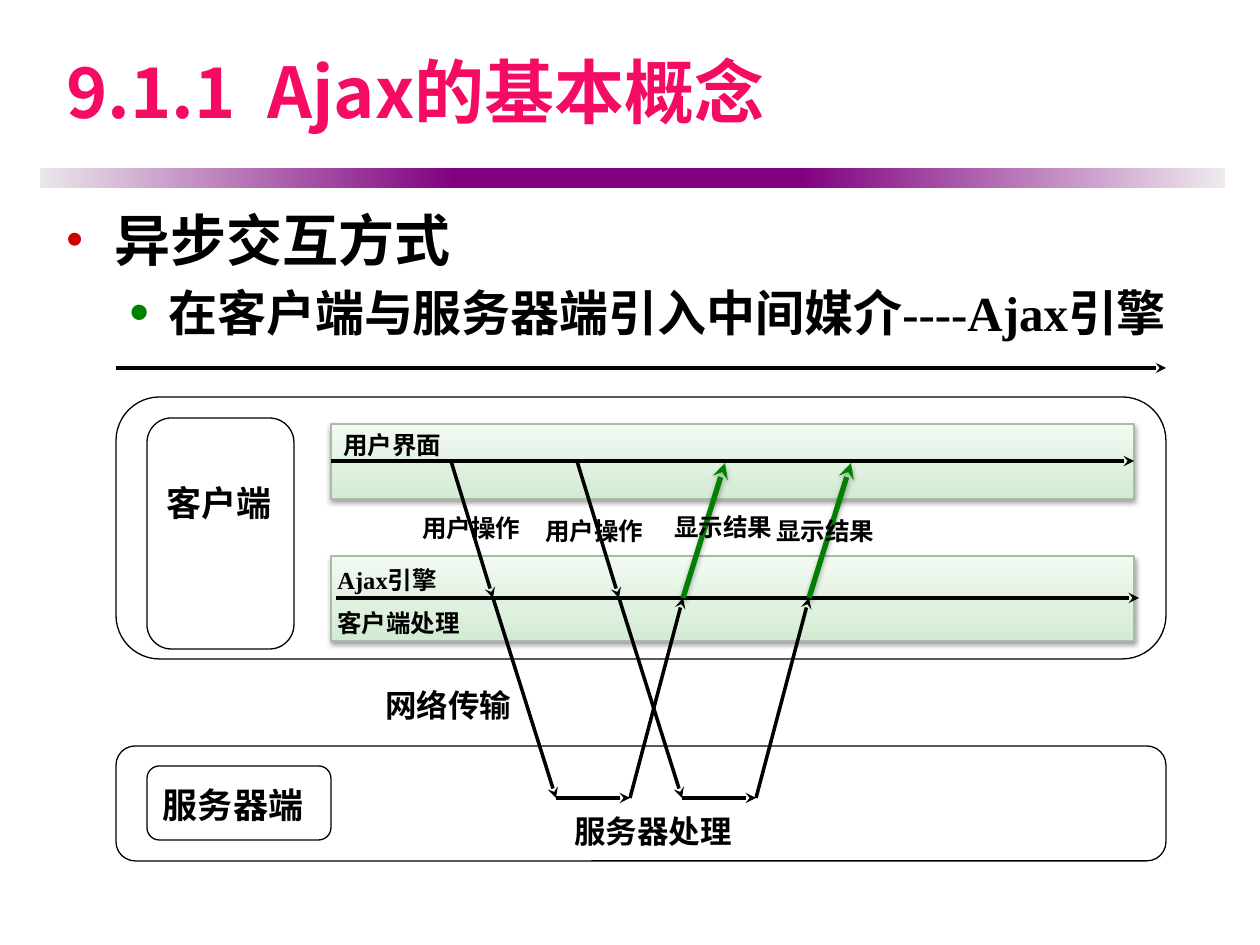
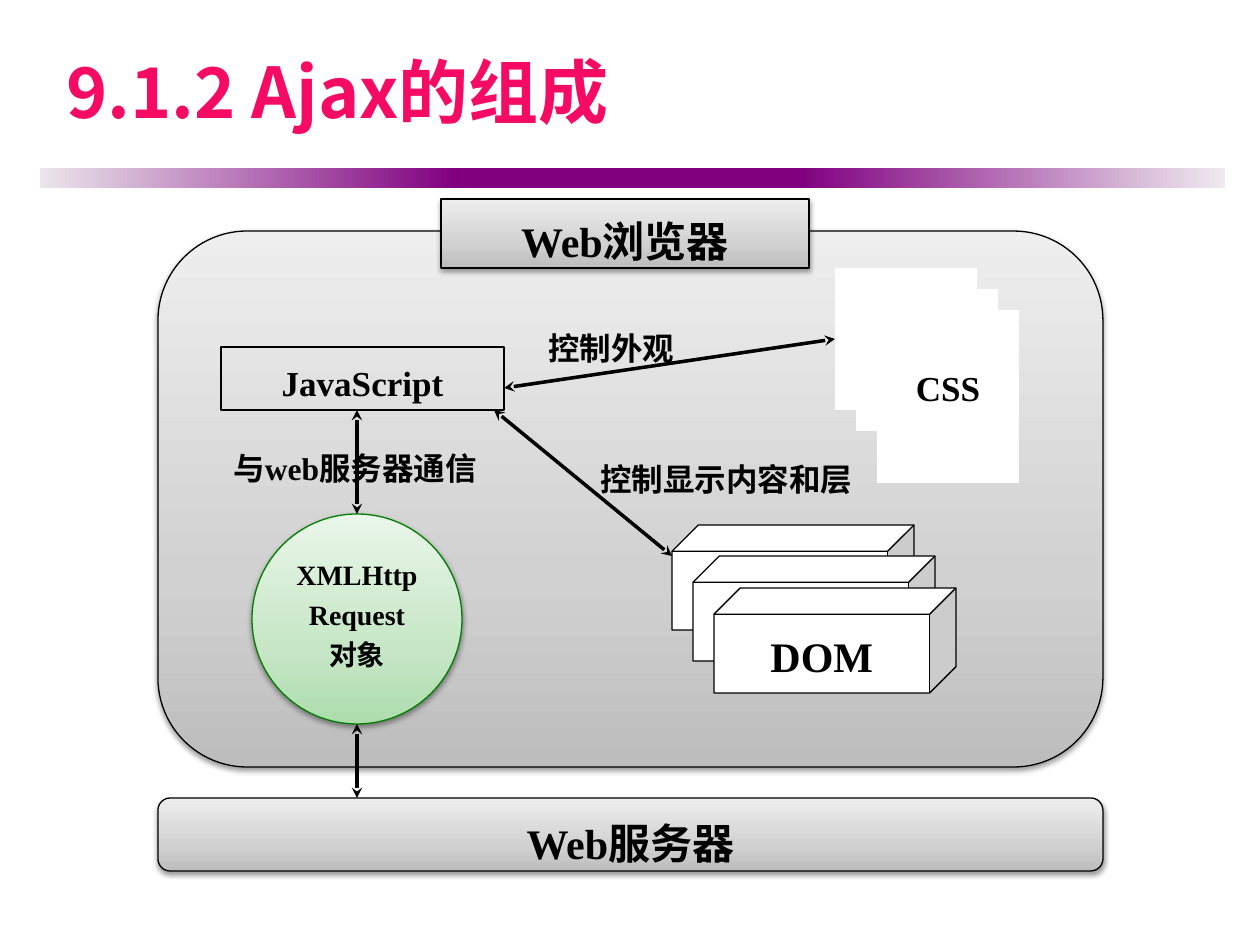
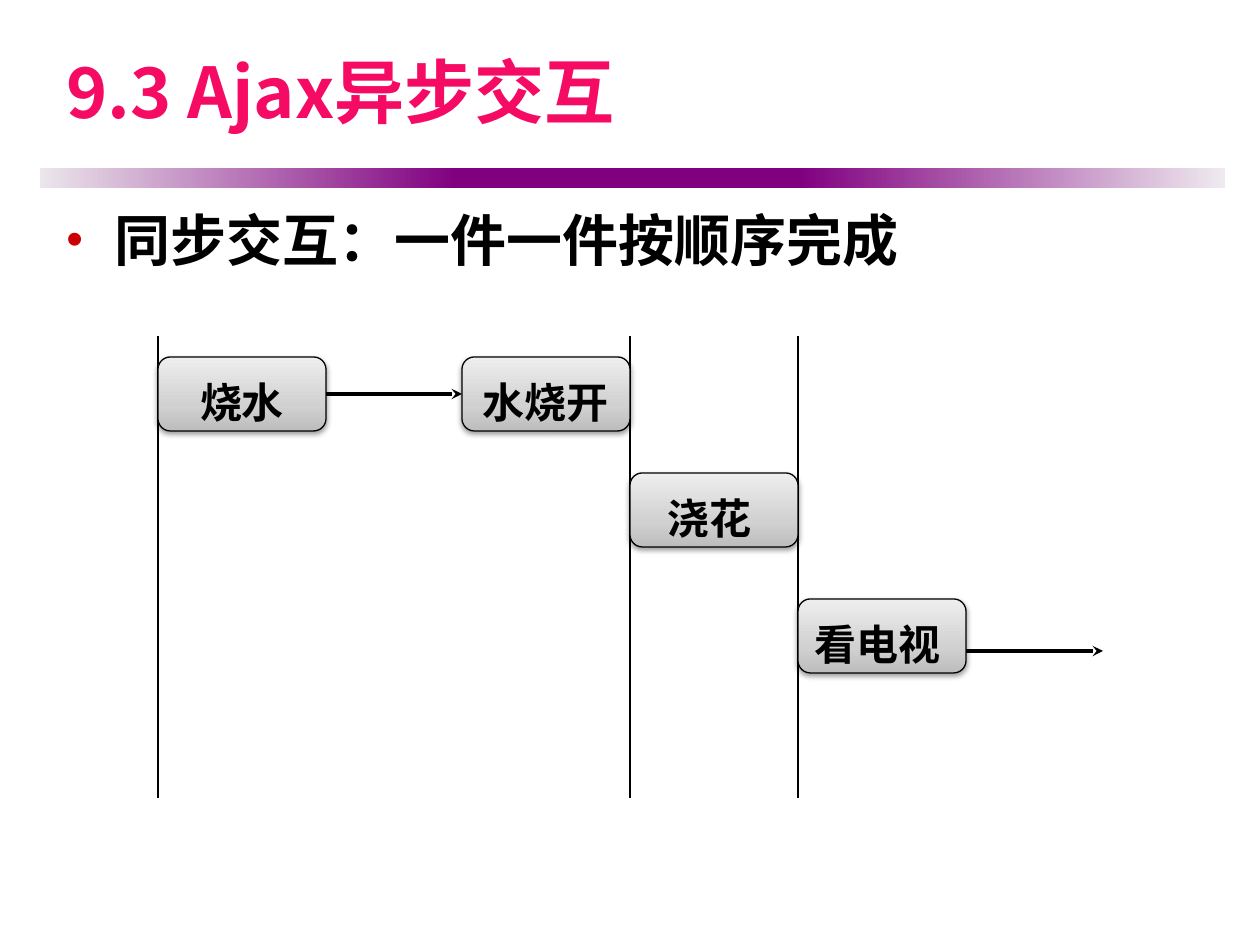
import pptx
import pptx.util
import pptx.dml.color
import pptx.enum.shapes
import pptx.enum.text
import pptx.oxml.ns
from lxml import etree

RGB = pptx.dml.color.RGBColor
KIND = pptx.enum.shapes.MSO_SHAPE
ALIGN = pptx.enum.text.PP_ALIGN
ANCHOR = pptx.enum.text.MSO_ANCHOR
qn = pptx.oxml.ns.qn

BLACK = RGB(0x00, 0x00, 0x00)
WHITE = RGB(0xFF, 0xFF, 0xFF)
PINK = RGB(0xF5, 0x0A, 0x64)
RED = RGB(0xCC, 0x00, 0x00)
GREEN = RGB(0x00, 0x80, 0x00)
PURPLE = RGB(0x80, 0x00, 0x80)
MOSS = RGB(0xA6, 0xBC, 0xA6)
LEAF = RGB(0x00, 0x7D, 0x00)
# Gradients run from the first stop to the last
FADE_IN = [(0, RGB(0xEB, 0xE6, 0xEB)), (100, PURPLE)]
FADE_OUT = [(0, PURPLE), (100, RGB(0xEF, 0xEA, 0xEF))]
GREY = [(0, RGB(0xBD, 0xBD, 0xBD)), (35, RGB(0xD1, 0xD1, 0xD1)), (100, RGB(0xEE, 0xEE, 0xEE))]
MINT = [(0, RGB(0xD2, 0xEB, 0xD2)), (35, RGB(0xDE, 0xF0, 0xDE)), (100, RGB(0xF2, 0xFA, 0xF2))]
LIME = [(0, RGB(0xAD, 0xDD, 0xAD)), (35, RGB(0xC6, 0xE6, 0xC6)), (100, RGB(0xE9, 0xF6, 0xE9))]

SERIF = "Times New Roman"
SANS = "Noto Sans CJK SC"
DPI = 126


def px(n):
    return pptx.util.Emu(round(n * 914400 / DPI))


def sub(node, tag, **attrs):
    return etree.SubElement(node, qn(tag), {k: str(v) for k, v in attrs.items()})


class Deck:
    """Holds the shared style and the slide being drawn."""

    def __init__(self):
        self.prs = pptx.Presentation()
        self.prs.slide_width, self.prs.slide_height = px(1260), px(945)
        self.slide = None

    def page(self, title):
        self.slide = self.prs.slides.add_slide(self.prs.slide_layouts[5])
        head = self.slide.shapes.title
        head.left, head.top, head.width, head.height = map(px, (54, 21, 1142, 140))
        frame = head.text_frame
        frame.auto_size = pptx.enum.text.MSO_AUTO_SIZE.NONE
        frame.vertical_anchor = ANCHOR.MIDDLE
        frame.paragraphs[0].alignment = ALIGN.LEFT
        self.run(frame.paragraphs[0], title, 40, PINK, SANS)
        self.shape(KIND.RECTANGLE, (40, 168, 417, 20), FADE_IN, None, angle=0)
        self.shape(KIND.RECTANGLE, (456, 168, 342, 20), PURPLE, None)
        self.shape(KIND.RECTANGLE, (798, 168, 427, 20), FADE_OUT, None, angle=0)

    def run(self, para, text, size, color=BLACK, font=SERIF):
        run = para.add_run()
        run.text = text
        run.font.size = pptx.util.Pt(size)
        run.font.bold = True
        run.font.name = font
        run.font.color.rgb = color
        sub(run._r.get_or_add_rPr(), "a:ea", typeface=SANS)

    def text(self, shape, text, size, align, top=6):
        frame = shape.text_frame
        frame.word_wrap = True
        frame.vertical_anchor = ANCHOR.TOP
        frame.margin_top = px(top)
        para = frame.paragraphs[0]
        para.alignment = align
        para.line_spacing = 1.2
        self.run(para, text, size)

    def shade(self, effects, alpha, dist):
        outer = sub(effects, "a:outerShdw", blurRad=40000, dist=dist, dir=5400000, rotWithShape=0)
        sub(sub(outer, "a:srgbClr", val=BLACK), "a:alpha", val=alpha * 1000)

    def shape(self, kind, box, fill=None, line=BLACK, text="", size=24,
              align=ALIGN.CENTER, top=6, shadow=False, angle=90):
        """Fill is None, one colour, or a list of gradient stops."""
        item = self.slide.shapes.add_shape(kind, *map(px, box))
        item.shadow.inherit = False
        props = item._element.spPr
        if fill is None:
            item.fill.background()
        elif isinstance(fill, list):
            item.fill.gradient()
            item.fill.gradient_angle = angle
            stops = props.find(".//" + qn("a:gsLst"))
            for old in list(stops):
                stops.remove(old)
            for pos, color in fill:
                sub(sub(stops, "a:gs", pos=pos * 1000), "a:srgbClr", val=color)
        else:
            item.fill.solid()
            item.fill.fore_color.rgb = fill
        if line is None:
            item.line.fill.background()
        else:
            item.line.color.rgb = line
            item.line.width = pptx.util.Pt(0.75)
        if shadow:
            self.shade(props.find(qn("a:effectLst")), 38, 20000)
        if text:
            self.text(item, text, size, align, top)

    def label(self, box, text, size):
        item = self.slide.shapes.add_textbox(*map(px, box))
        self.text(item, text, size, ALIGN.LEFT)

    def list(self, box, rows):
        """Each row is a level, 0 or 1, and its text."""
        levels = [(32, 48, 48, RED, 85), (28, 102, 39, GREEN, 115)]
        frame = self.slide.shapes.add_textbox(*map(px, box)).text_frame
        frame.word_wrap = True
        for i, (level, text) in enumerate(rows):
            size, left, hang, color, scale = levels[level]
            para = frame.add_paragraph() if i else frame.paragraphs[0]
            para.level = level
            para.space_before = pptx.util.Pt(size * 0.2)
            props = para._p.get_or_add_pPr()
            props.set("marL", str(px(left)))
            props.set("indent", str(px(-hang)))
            sub(sub(props, "a:buClr"), "a:srgbClr", val=color)
            sub(props, "a:buSzPct", val=scale * 1000)
            sub(props, "a:buFont", typeface="Arial")
            sub(props, "a:buChar", char="•")
            self.run(para, text, size)

    def line(self, start, end, color=BLACK, width=2, ends=("tail",), shadow=False):
        item = self.slide.shapes.add_connector(
            pptx.enum.shapes.MSO_CONNECTOR.STRAIGHT, *map(px, start + end))
        item.line.color.rgb = color
        item.line.width = pptx.util.Pt(width)
        props = item._element.spPr
        for side in ends:
            sub(props.find(qn("a:ln")), f"a:{side}End", type="stealth")
        effects = sub(props, "a:effectLst")
        if shadow:
            self.shade(effects, 35, 23000)


def concept(deck):
    deck.page("9.1.1  Ajax的基本概念")
    deck.list((54, 199, 1160, 158), [(0, "异步交互方式"), (1, "在客户端与服务器端引入中间媒介----Ajax引擎")])
    for top, height in ((424, 75), (556, 85)):
        deck.shape(KIND.RECTANGLE, (331, top, 803, height), MINT, MOSS, shadow=True)
    deck.shape(KIND.ROUNDED_RECTANGLE, (116, 397, 1050, 262))
    deck.shape(KIND.ROUNDED_RECTANGLE, (116, 746, 1050, 115))
    deck.shape(KIND.ROUNDED_RECTANGLE, (147, 418, 147, 231), text="客户端", size=20,
               align=ALIGN.LEFT, top=48)
    deck.shape(KIND.ROUNDED_RECTANGLE, (147, 766, 184, 74), text="服务器端", size=20,
               align=ALIGN.LEFT)
    for left, right, y in ((116, 1166, 368), (331, 1134, 461), (336, 1139, 598)):
        deck.line((left, y), (right, y))

    # Each request goes down to the server and its answer comes back up
    stops = [(451, 461), (493, 598), (556, 798), (630, 798), (683, 598), (725, 463)]
    for shift in (0, 126):
        trip = [(x + shift, y) for x, y in stops]
        for start, end in zip(trip[:-2], trip[1:-1]):
            deck.line(start, end)
        deck.line(trip[-2], trip[-1], GREEN, 3, shadow=True)

    for left, top, width, text, size in (
            (331, 418, 162, "用户界面", 14),
            (325, 553, 162, "Ajax引擎", 14),
            (325, 596, 162, "客户端处理", 14),
            (410, 501, 158, "用户操作", 14),
            (533, 504, 128, "用户操作", 14),
            (662, 500, 128, "显示结果", 14),
            (764, 504, 128, "显示结果", 14),
            (373, 672, 162, "网络传输", 18),
            (562, 798, 215, "服务器处理", 18)):
        deck.label((left, top, width, 3 * size + 4), text, size)


def parts(deck):
    deck.page("9.1.2 Ajax的组成")
    deck.shape(KIND.ROUNDED_RECTANGLE, (158, 798, 945, 73), GREY, text="Web服务器", shadow=True)
    deck.shape(KIND.ROUNDED_RECTANGLE, (158, 231, 945, 536), GREY, shadow=True)
    deck.shape(KIND.RECTANGLE, (441, 199, 368, 69), GREY, text="Web浏览器", shadow=True)
    deck.shape(KIND.RECTANGLE, (221, 347, 283, 63), text="JavaScript", size=20)
    deck.shape(KIND.OVAL, (252, 514, 210, 210), LIME, LEAF, "XMLHttpRequest对象", 16, shadow=True)
    for i, text in enumerate(("", "", "DOM")):
        deck.shape(KIND.CUBE, (672 + 21 * i, 525 + 63 * i // 2, 242, 105), WHITE, text=text)
    for i, (height, text) in enumerate(((142, ""), (142, ""), (173, "CSS"))):
        deck.shape(KIND.RECTANGLE, (835 + 21 * i, 268 + 21 * i, 142, height), WHITE, None,
                   text, 20, top=48)
    for start, end in (((357, 410), (357, 514)), ((494, 410), (672, 556)),
                       ((504, 388), (835, 339)), ((357, 724), (357, 798))):
        deck.line(start, end, ends=("head", "tail"))
    for left, top, text in ((221, 435, "与web服务器通信"), (588, 446, "控制显示内容和层"),
                            (536, 315, "控制外观")):
        deck.label((left, top, 285, 58), text, 18)


def order(deck):
    deck.page("9.3 Ajax异步交互")
    deck.list((54, 199, 1160, 73), [(0, "同步交互：一件一件按顺序完成")])
    for x in (158, 630, 798):
        deck.line((x, 336), (x, 798), width=0.75, ends=())
    for left, top, text in ((158, 357, "烧水"), (462, 357, "水烧开"),
                            (630, 473, "浇花 "), (798, 599, "看电视 ")):
        deck.shape(KIND.ROUNDED_RECTANGLE, (left, top, 168, 74), GREY, text=text, shadow=True)
    for left, right, y in ((326, 462, 394), (966, 1103, 651)):
        deck.line((left, y), (right, y))


def main():
    deck = Deck()
    for draw in (concept, parts, order):
        draw(deck)
    deck.prs.save("out.pptx")


if __name__ == "__main__":
    main()
